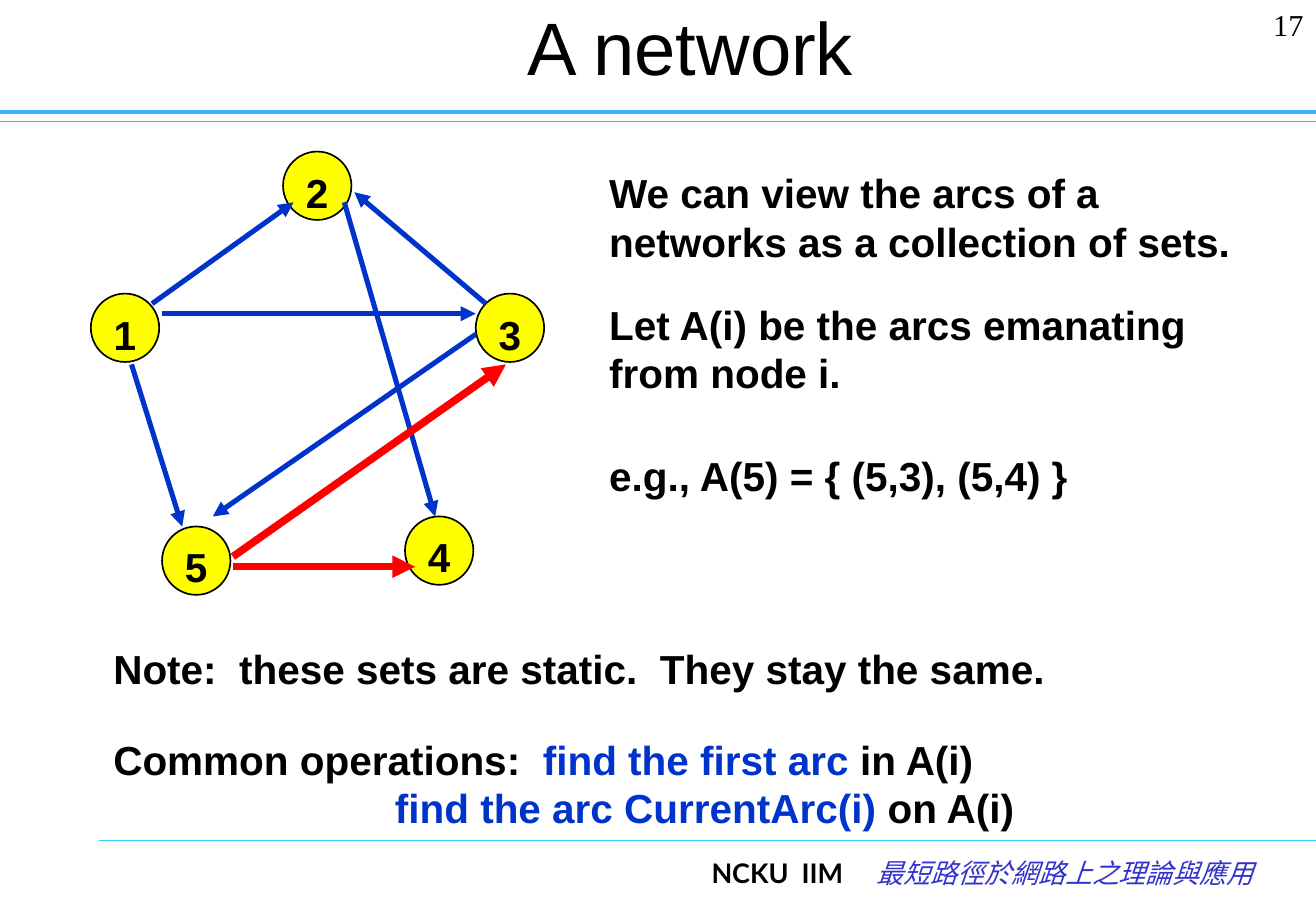
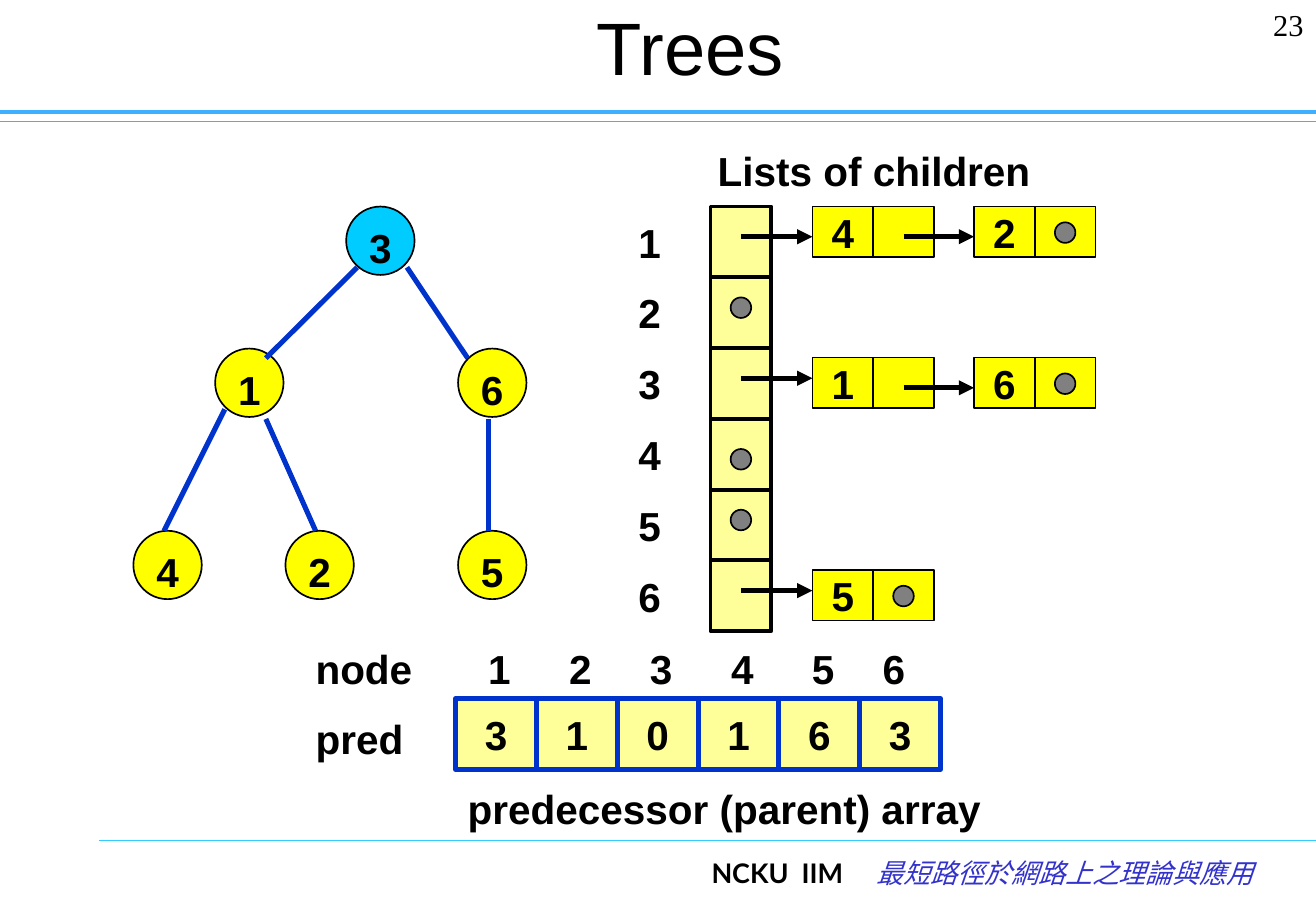
import pptx
import pptx.dml.color
import pptx.enum.shapes
import pptx.enum.text
import pptx.oxml
import pptx.oxml.ns
import pptx.util
from pptx.util import Cm

COLORS = {
    "black": "000000", "blue": "0033CC", "red": "FF0000", "band": "3DB0FF",
    "footer line": "33CCFF", "course": "3333CC", "node": "FFFF00",
    "root": "00CCFF", "array": "FFFF99", "dot": "808080",
}
BODY = {"name": "Arial", "size": pptx.util.Pt(24), "bold": True}
TITLE = {"name": "Arial", "size": pptx.util.Pt(44)}
PAGE_NUMBER = {"name": "Times New Roman", "size": pptx.util.Pt(18)}
SCHOOL = {"name": "Lato", "size": pptx.util.Pt(16), "bold": True}
COURSE = {"name": "Noto Sans Mono", "size": pptx.util.Pt(16), "italic": True}

ALIGN = pptx.enum.text.PP_ALIGN
ANCHOR = pptx.enum.text.MSO_ANCHOR
OVAL = pptx.enum.shapes.MSO_SHAPE.OVAL
RECTANGLE = pptx.enum.shapes.MSO_SHAPE.RECTANGLE

# All positions and sizes below are in centimetres.
SLIDE_WIDTH, SLIDE_HEIGHT = 27.52, 19.05
NODE_SIZE = 1.43

# Frame lines: left, top, colour, width in points
FRAME_LINES = [
    (0, 2.54, "band", 0.75),
    (0, 2.34, "band", 2.5),
    (2.06, 17.58, "footer line", 0.75),
]

# Nodes: label, left, top, colour
NETWORK_NODES = [
    ("1", 1.9, 6.14, "node"), ("2", 5.92, 3.17, "node"),
    ("3", 9.95, 6.14, "node"), ("4", 8.47, 10.8, "node"),
    ("5", 3.39, 11.01, "node"),
]
NETWORK_ARCS = [
    (3.18, 6.35, 6.14, 4.23), (7.2, 4.23, 9.1, 10.8),
    (3.39, 6.56, 9.95, 6.56), (2.75, 7.62, 3.81, 11.01),
    (10.16, 6.35, 7.41, 4.02), (9.95, 6.99, 4.45, 10.8),
]
ARCS_FROM_5 = [(4.87, 11.64, 10.58, 7.62), (4.87, 11.85, 8.68, 11.85)]

# Passages: left, top, width, height, paragraphs
NETWORK_TEXTS = [
    (12.49, 3.39, 13.97, 2.31,
     ["We can view the arcs of a networks as a collection of sets."]),
    (12.49, 6.14, 13.97, 2.31, ["Let A(i) be the arcs emanating from node i."]),
    (12.49, 9.31, 13.97, 1.27, ["e.g., A(5) = { (5,3), (5,4) }"]),
    (2.12, 13.34, 23.28, 1.27,
     ["Note:  these sets are static.  They stay the same."]),
    (2.12, 15.24, 23.28, 2.31, [
        [("Common operations:  ", "black"), ("find the first arc", "blue"),
         (" in A(i)", "black")],
        [("find the arc CurrentArc(i)", "blue"), (" on A(i)", "black")],
    ]),
]
SECOND_OPERATION_INDENT = 5.89

TREE_NODES = [
    ("1", 4.5, 7.29, "node"), ("2", 5.97, 11.1, "node"),
    ("6", 9.58, 7.29, "node"), ("5", 9.58, 11.1, "node"),
    ("4", 2.79, 11.1, "node"), ("3", 7.24, 4.32, "root"),
]
TREE_EDGES = [
    (7.47, 5.59, 5.56, 7.49), (8.51, 5.59, 9.78, 7.49),
    (4.7, 8.56, 3.43, 11.1), (5.56, 8.76, 6.6, 11.1),
    (10.21, 8.76, 10.21, 11.1),
]
TREE_TEXTS = [
    (14.76, 2.92, 9.09, 1.27, ["Lists of children"]),
    (9.53, 16.28, 11.84, 1.27, ["predecessor (parent) array"]),
    (6.35, 13.34, 4.24, 1.3, ["node"]),
    (6.35, 14.81, 4.24, 1.3, ["pred"]),
]
# One row per parent: children, drop of the cells or of the end dot in the row
CHILD_LISTS = [
    ("42", 0), ("", 0.42), ("16", 0.2), ("", 0.63), ("", 0.42), ("5", 0.2),
]
PREDECESSORS = "310163"
NODE_LABEL_LEFTS = [9.96, 11.65, 13.34, 15.04, 16.73, 18.21]


def rgb(color):
    return pptx.dml.color.RGBColor.from_string(COLORS[color])


def set_text(shape, paragraphs, style=BODY, color="black",
             align=ALIGN.LEFT, anchor=ANCHOR.TOP):
    """Write paragraphs, each a string or a list of (text, colour) runs."""
    frame = shape.text_frame
    frame.word_wrap = True
    frame.vertical_anchor = anchor
    for index, runs in enumerate(paragraphs):
        paragraph = frame.add_paragraph() if index else frame.paragraphs[0]
        paragraph.alignment = align
        for text, run_color in [(runs, color)] if isinstance(runs, str) else runs:
            run = paragraph.add_run()
            run.text = text
            for attribute, value in style.items():
                setattr(run.font, attribute, value)
            run.font.color.rgb = rgb(run_color)


def add_text(slide, left, top, width, height, paragraphs, **options):
    box = slide.shapes.add_textbox(Cm(left), Cm(top), Cm(width), Cm(height))
    set_text(box, paragraphs, **options)
    return box


def add_shape(slide, kind, left, top, width, height, fill,
              line="black", line_width=1, text="", anchor=ANCHOR.MIDDLE):
    shape = slide.shapes.add_shape(kind, Cm(left), Cm(top), Cm(width), Cm(height))
    shape.shadow.inherit = False
    shape.fill.solid()
    shape.fill.fore_color.rgb = rgb(fill)
    shape.line.color.rgb = rgb(line)
    shape.line.width = pptx.util.Pt(line_width)
    if text:
        set_text(shape, [text], align=ALIGN.CENTER, anchor=anchor)


def add_line(slide, ends, color, width, arrow=False):
    connector = slide.shapes.add_connector(
        pptx.enum.shapes.MSO_CONNECTOR.STRAIGHT, *map(Cm, ends))
    connector.line.color.rgb = rgb(color)
    connector.line.width = pptx.util.Pt(width)
    properties = connector._element.spPr
    if arrow:
        tail = pptx.oxml.parse_xml(
            f'<a:tailEnd {pptx.oxml.ns.nsdecls("a")} type="triangle"/>')
        connector.line._get_or_add_ln().append(tail)
    properties.append(
        pptx.oxml.parse_xml(f'<a:effectLst {pptx.oxml.ns.nsdecls("a")}/>'))


def add_nodes(slide, nodes):
    for label, left, top, color in nodes:
        add_shape(slide, OVAL, left, top, NODE_SIZE, NODE_SIZE, color,
                  text=label, anchor=ANCHOR.TOP)


def add_framed_slide(presentation, title, number):
    """Add a slide with the shared lines, footer, page number and title."""
    slide = presentation.slides.add_slide(presentation.slide_layouts[6])
    for left, top, color, width in FRAME_LINES:
        add_line(slide, (left, top, SLIDE_WIDTH, top), color, width)
    add_text(slide, 12.88, 17.78, 5, 1.27, ["NCKU  IIM"],
             style=SCHOOL, align=ALIGN.RIGHT)
    add_text(slide, 17.47, 17.78, 9, 1.27, ["最短路徑於網路上之理論與應用"],
             style=COURSE, color="course", align=ALIGN.RIGHT)
    add_text(slide, 25.22, 0, 2.29, 1.27, [number],
             style=PAGE_NUMBER, align=ALIGN.RIGHT)
    add_text(slide, 3.66, 0, 21.56, 1.91, [title],
             style=TITLE, align=ALIGN.CENTER, anchor=ANCHOR.MIDDLE)
    return slide


def build_network(presentation):
    slide = add_framed_slide(presentation, "A network", "17")
    add_nodes(slide, NETWORK_NODES)
    for ends in NETWORK_ARCS:
        add_line(slide, ends, "blue", 3, arrow=True)
    for ends in ARCS_FROM_5:
        add_line(slide, ends, "red", 4.5, arrow=True)
    boxes = [add_text(slide, *passage) for passage in NETWORK_TEXTS]
    second_operation = boxes[-1].text_frame.paragraphs[1]
    second_operation._p.get_or_add_pPr().set(
        "marL", str(Cm(SECOND_OPERATION_INDENT)))


def add_child_lists(slide):
    label_left, head_left, first_cell_left = 12.95, 14.86, 16.99
    first_top, row_height = 4.32, 1.48
    cell_width, cell_height, pair_pitch = 1.27, 1.06, 3.38
    arrow_drop, dot_size, dot_drop = 0.63, 0.43, 0.33
    dot_inset = (cell_width - dot_size) / 2

    tops = [first_top + row * row_height for row in range(len(CHILD_LISTS))]
    for number, top in enumerate(tops, 1):
        add_shape(slide, RECTANGLE, head_left, top, cell_width, row_height,
                  "array", line_width=2.25)
        add_text(slide, label_left, top, cell_width, row_height, [str(number)],
                 align=ALIGN.CENTER, anchor=ANCHOR.MIDDLE)

    for top, (children, drop) in zip(tops, CHILD_LISTS):
        pointer_left, pointer_top = head_left, top
        dot_top = top + drop
        for index, child in enumerate(children):
            left, cell_top = first_cell_left + index * pair_pitch, top + drop
            for offset, text in ((0, child), (cell_width, "")):
                add_shape(slide, RECTANGLE, left + offset, cell_top,
                          cell_width, cell_height, "node", text=text)
            arrow_top = pointer_top + arrow_drop
            add_line(slide, (pointer_left + cell_width / 2, arrow_top,
                             left, arrow_top), "black", 3, arrow=True)
            pointer_left, pointer_top = left + cell_width, cell_top
            dot_top = cell_top + dot_drop
        add_shape(slide, OVAL, pointer_left + dot_inset, dot_top,
                  dot_size, dot_size, "dot")


def add_predecessor_array(slide):
    left, top, width, height = 9.53, 14.61, 1.69, 1.48
    for index, predecessor in enumerate(PREDECESSORS):
        add_shape(slide, RECTANGLE, left + index * width, top, width, height,
                  "array", line="blue", line_width=3, text=predecessor)
    for number, label_left in enumerate(NODE_LABEL_LEFTS, 1):
        add_text(slide, label_left, 13.34, 1.07, 1.3, [str(number)])


def build_trees(presentation):
    slide = add_framed_slide(presentation, "Trees", "23")
    add_nodes(slide, TREE_NODES)
    for ends in TREE_EDGES:
        add_line(slide, ends, "blue", 3)
    add_child_lists(slide)
    add_predecessor_array(slide)
    for passage in TREE_TEXTS:
        add_text(slide, *passage)


def main():
    presentation = pptx.Presentation()
    presentation.slide_width = Cm(SLIDE_WIDTH)
    presentation.slide_height = Cm(SLIDE_HEIGHT)
    build_network(presentation)
    build_trees(presentation)
    presentation.save("out.pptx")


if __name__ == "__main__":
    main()
